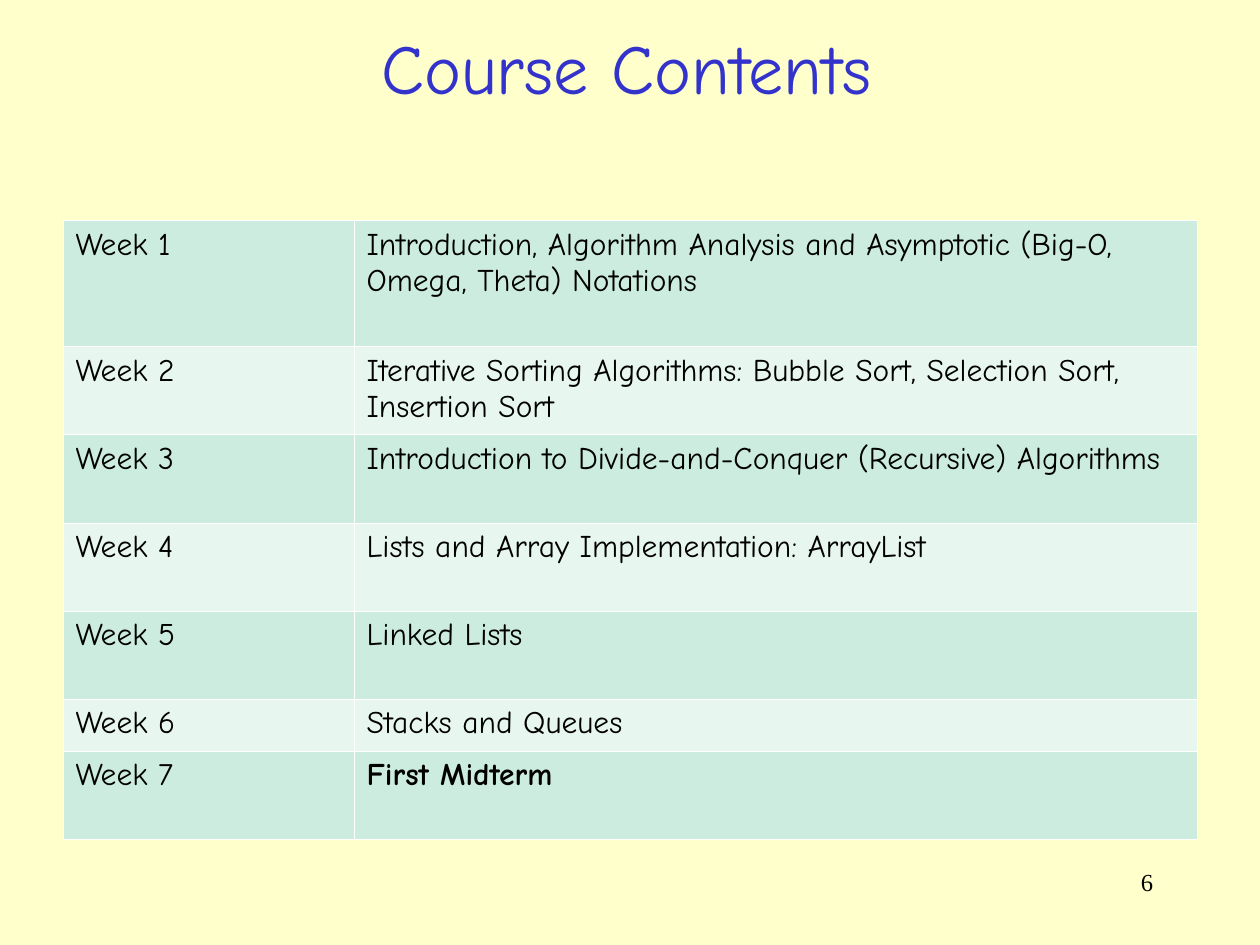
from lxml.etree import SubElement
from pptx import Presentation
from pptx.dml.color import RGBColor
from pptx.enum.text import MSO_ANCHOR, PP_ALIGN
from pptx.oxml.ns import qn
from pptx.util import Inches, Pt

HUES = {"page": "FFFFCC", "title": "3333CC", "text": "000000",
        "odd": "CBECDE", "even": "E7F6EF", "line": "FFFFFF"}
FONT = "Comic Neue"
WEEKS = [
    ("Introduction, Algorithm Analysis and Asymptotic (Big-O, Omega, Theta) Notations", 1),
    ("Iterative Sorting Algorithms: Bubble Sort, Selection Sort, Insertion Sort", 0.7),
    ("Introduction to Divide-and-Conquer (Recursive) Algorithms", 0.7),
    ("Lists and Array Implementation: ArrayList", 0.7),
    ("Linked Lists", 0.7),
    ("Stacks and Queues", 0.41),
    ("First Midterm", 0.7),
]


def add_run(para, text, size, hue="text", face=FONT, bold=False):
    run = para.add_run()
    run.text = text
    run.font.size = Pt(size)
    run.font.name = face
    run.font.bold = bold
    run.font.color.rgb = RGBColor.from_string(HUES[hue])


def add_edges(cell):
    props = cell._tc.get_or_add_tcPr()
    for side in ("lnL", "lnR", "lnT", "lnB"):
        line = SubElement(props, qn(f"a:{side}"), w=str(Pt(0.45)))
        fill = SubElement(line, qn("a:solidFill"))
        SubElement(fill, qn("a:srgbClr"), val=HUES["line"])


deck = Presentation()
deck.slide_width, deck.slide_height = Inches(10), Inches(7.5)
slide = deck.slides.add_slide(deck.slide_layouts[5])
slide.background.fill.solid()
slide.background.fill.fore_color.rgb = RGBColor.from_string(HUES["page"])

title = slide.shapes.title
title.left, title.top = Inches(0.72), Inches(0.15)
title.width, title.height = Inches(8.5), Inches(0.76)
title.text_frame.vertical_anchor = MSO_ANCHOR.MIDDLE
para = title.text_frame.paragraphs[0]
para.alignment = PP_ALIGN.CENTER
add_run(para, "Course Contents", 40, "title")

high = sum(size for _, size in WEEKS)
table = slide.shapes.add_table(len(WEEKS), 2, Inches(0.5), Inches(1.75),
                               Inches(9), Inches(high)).table
table.first_row = table.horz_banding = False
for col, wide in zip(table.columns, (2.31, 6.69)):
    col.width = Inches(wide)
for i, (topic, size) in enumerate(WEEKS):
    table.rows[i].height = Inches(size)
    for j, text in enumerate((f"Week {i + 1}", topic)):
        cell = table.cell(i, j)
        add_edges(cell)
        cell.fill.solid()
        cell.fill.fore_color.rgb = RGBColor.from_string(HUES["even" if i % 2 else "odd"])
        add_run(cell.text_frame.paragraphs[0], text, 18, bold=text == "First Midterm")

box = slide.shapes.add_textbox(Inches(7.17), Inches(6.83), Inches(2.08), Inches(0.5))
box.text_frame.word_wrap = True
para = box.text_frame.paragraphs[0]
para.alignment = PP_ALIGN.RIGHT
add_run(para, "6", 14, face="Times New Roman")

deck.save("out.pptx")
